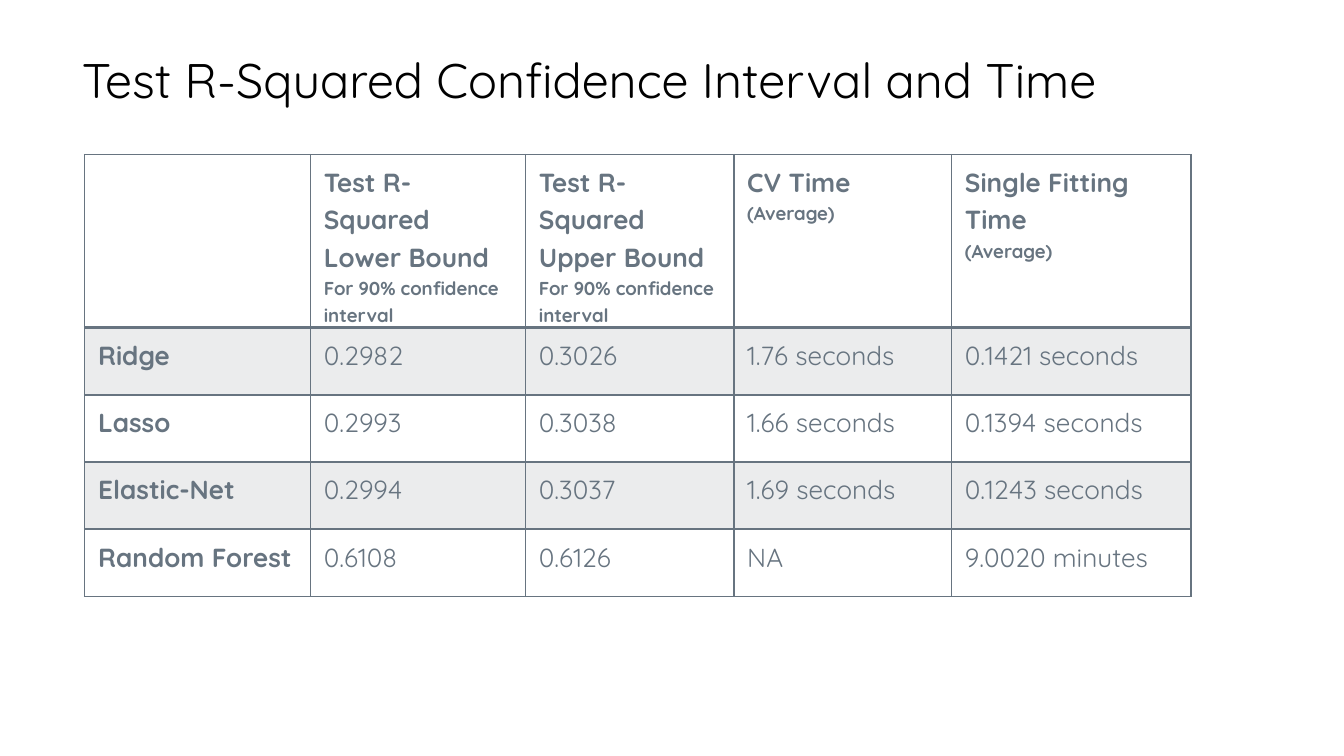
import pptx
import pptx.util
import pptx.dml.color
import lxml.etree
from pptx.oxml.ns import qn

Inches = pptx.util.Inches
Pt = pptx.util.Pt
BLACK = pptx.dml.color.RGBColor(0x00, 0x00, 0x00)
SLATE = pptx.dml.color.RGBColor(0x67, 0x74, 0x80)
WHITE = pptx.dml.color.RGBColor(0xFF, 0xFF, 0xFF)
GRAY = pptx.dml.color.RGBColor(0xEB, 0xEC, 0xED)


def style(para, text, size, color, bold=False):
    para.text = text
    para.line_spacing = 1.15
    para.font.name = "Quicksand"
    para.font.size = Pt(size)
    para.font.color.rgb = color
    para.font.bold = bold


def edge(cell, side, width):
    line = lxml.etree.SubElement(cell._tc.get_or_add_tcPr(), qn("a:ln" + side), w=str(Pt(width)))
    fill = lxml.etree.SubElement(line, qn("a:solidFill"))
    lxml.etree.SubElement(fill, qn("a:srgbClr"), val=str(SLATE))


deck = pptx.Presentation()
deck.slide_width = Inches(10)
deck.slide_height = Inches(10) * 9 // 16
slide = deck.slides.add_slide(deck.slide_layouts[6])

title = slide.shapes.add_textbox(Inches(0.51), Inches(0.21), Inches(9.22), Inches(0.94))
frame = title.text_frame
frame.word_wrap = True
frame.margin_left = frame.margin_right = Inches(0.1)
frame.margin_top = frame.margin_bottom = Inches(0.1)
style(frame.paragraphs[0], "Test R-Squared Confidence Interval and Time", 26, BLACK)

note = "For 90% confidence interval"
rows = [
    ["",
     ["Test R-Squared", "Lower Bound", note],
     ["Test R-Squared", "Upper Bound", note],
     ["CV Time", "(Average)"],
     ["Single Fitting Time", "(Average)"]],
    ["Ridge", "0.2982", "0.3026", "1.76 seconds", "0.1421 seconds"],
    ["Lasso", "0.2993", "0.3038", "1.66 seconds", "0.1394 seconds"],
    ["Elastic-Net", "0.2994", "0.3037", "1.69 seconds", "0.1243 seconds"],
    ["Random Forest", "0.6108", "0.6126", "NA", "9.0020 minutes"],
]
widths = [1.68, 1.6, 1.55, 1.62, 1.78]
heights = [1.09] + [0.5] * 4

table = slide.shapes.add_table(
    len(rows), len(widths), Inches(0.63), Inches(1.15),
    Inches(sum(widths)), Inches(sum(heights))).table
for col, width in zip(table.columns, widths):
    col.width = Inches(width)
for row, height in zip(table.rows, heights):
    row.height = Inches(height)

for r, row in enumerate(rows):
    for c, item in enumerate(row):
        cell = table.cell(r, c)
        cell.margin_left = cell.margin_right = Inches(0.1)
        cell.margin_top = cell.margin_bottom = Inches(0.05)
        for side in "LRTB":
            thick = (r, side) in [(0, "B"), (1, "T")]
            edge(cell, side, 2 if thick else 1)
        cell.fill.solid()
        cell.fill.fore_color.rgb = GRAY if r % 2 else WHITE
        lines = item if isinstance(item, list) else [item]
        for n, text in enumerate(lines):
            para = cell.text_frame.add_paragraph() if n else cell.text_frame.paragraphs[0]
            small = n > 0 and n == len(lines) - 1
            style(para, text, 10 if small else 14, SLATE, r == 0 or c == 0)

deck.save("out.pptx")
